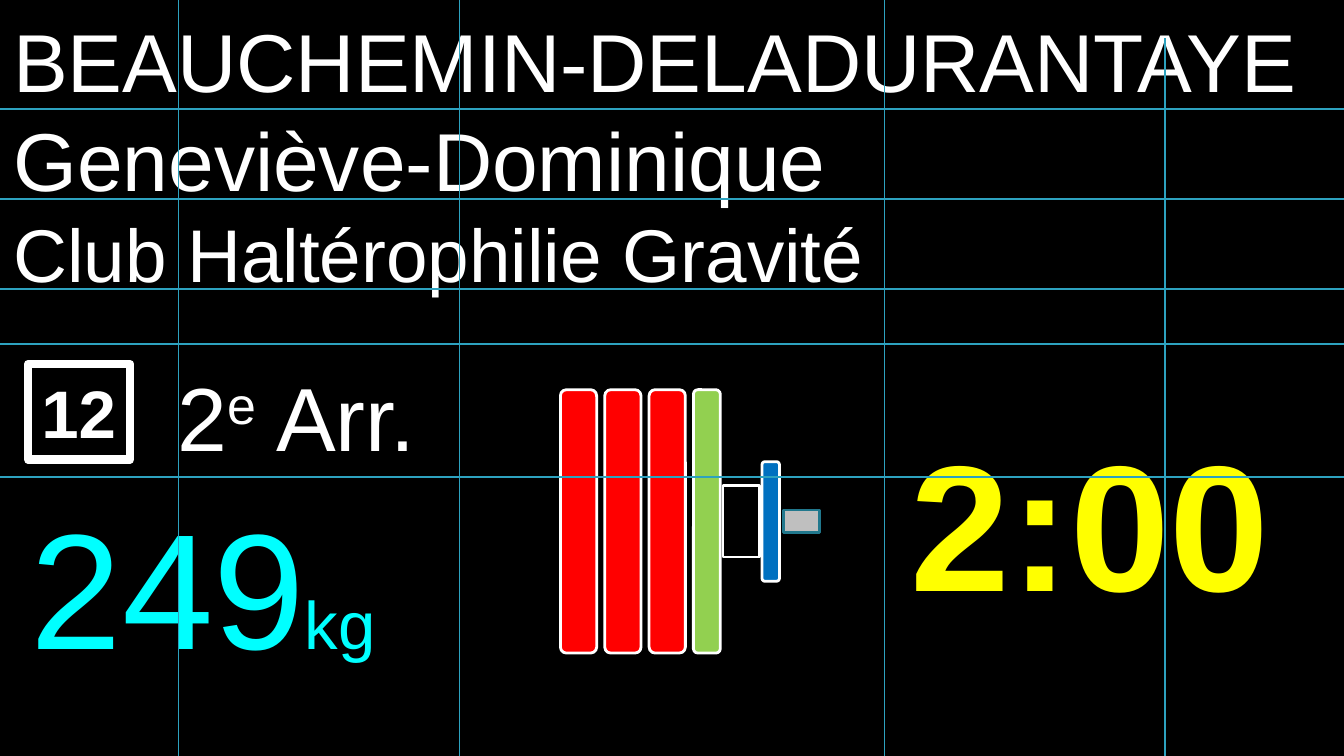
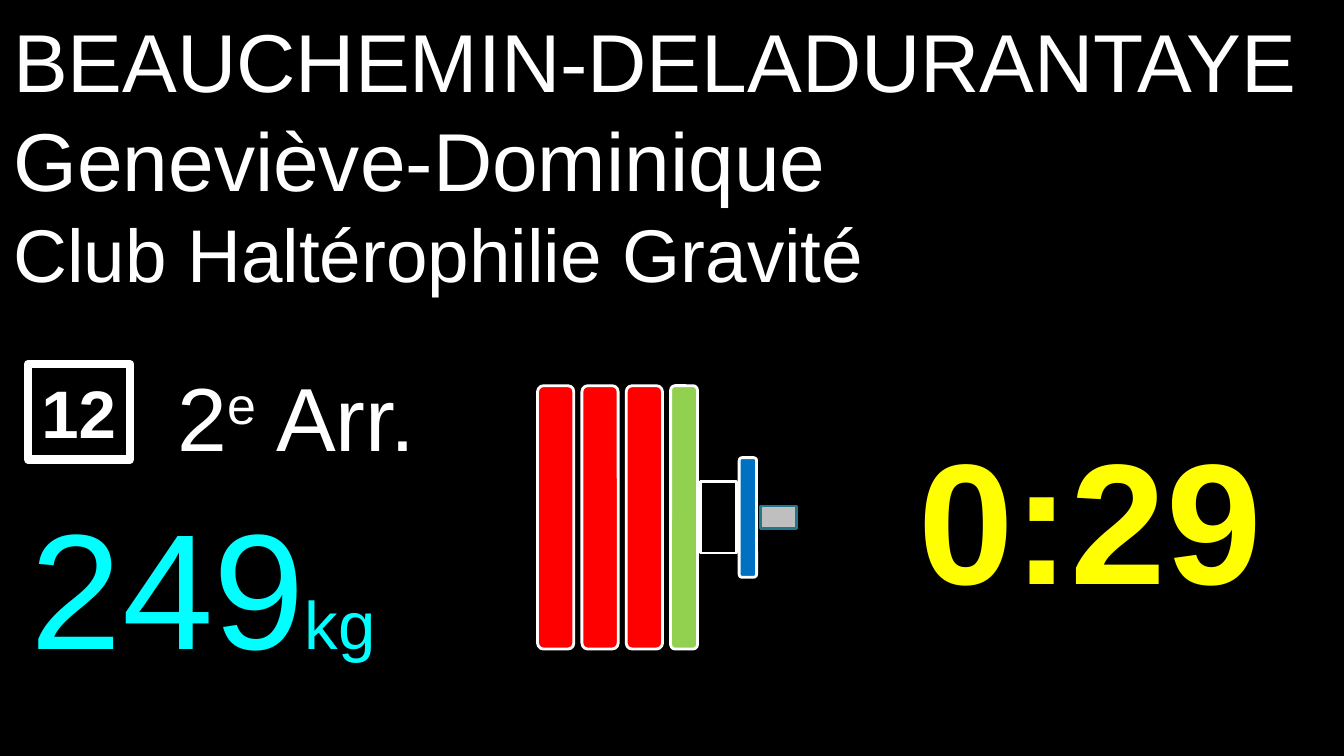
from lxml import etree
from pptx import Presentation
from pptx.dml.color import RGBColor
from pptx.enum.shapes import MSO_CONNECTOR, MSO_SHAPE
from pptx.enum.text import MSO_ANCHOR, MSO_AUTO_SIZE, PP_ALIGN
from pptx.oxml.ns import qn
from pptx.util import Inches, Pt

BLACK = RGBColor(0x00, 0x00, 0x00)
WHITE = RGBColor(0xFF, 0xFF, 0xFF)
CYAN = RGBColor(0x00, 0xFF, 0xFF)
YELLOW = RGBColor(0xFF, 0xFF, 0x00)
RED = RGBColor(0xFF, 0x00, 0x00)
GREEN = RGBColor(0x92, 0xD0, 0x50)
BLUE = RGBColor(0x00, 0x70, 0xC0)
GREY = RGBColor(0xBF, 0xBF, 0xBF)
TEAL = RGBColor(0x21, 0x78, 0x8D)
GUIDE = RGBColor(0x2D, 0xA2, 0xBF)

FONT = "Arial"
WIDTH = 10
HEIGHT = WIDTH * 9 / 16
PLATE_PITCH = 0.33
ROUND, SQUARE = MSO_SHAPE.ROUNDED_RECTANGLE, MSO_SHAPE.RECTANGLE

BARBELL = [(ROUND, i * PLATE_PITCH, 0.27, 1.96, RED, WHITE) for i in range(3)] + [
    (ROUND, 3 * PLATE_PITCH, 0.2, 1.96, GREEN, WHITE),
    (SQUARE, 1.21, 0.27, 0.53, BLACK, WHITE),
    (SQUARE, 1.66, 0.27, 0.17, GREY, TEAL),
    (ROUND, 1.5, 0.13, 0.89, BLUE, WHITE),
]
GUIDE_ROWS = (0.81, 1.48, 2.15, 2.56, 3.55)
GUIDE_COLUMNS = ((3.42, 0), (6.58, 0), (1.33, 0), (8.67, 0.28))


def write(frame, lines, color, bold=False, align=PP_ALIGN.LEFT):
    """Fill a text frame with lines, each a list of (text, size) pieces."""
    frame.vertical_anchor = MSO_ANCHOR.TOP
    for index, pieces in enumerate(lines):
        paragraph = frame.paragraphs[0] if index == 0 else frame.add_paragraph()
        paragraph.alignment = align
        for text, size in pieces:
            run = paragraph.add_run()
            run.text = text
            run.font.name = FONT
            run.font.size = Pt(size)
            run.font.bold = bold
            run.font.color.rgb = color


def add_label(slide, left, top, width, height, lines, color, **style):
    """Add a wrapping text box and return its text frame."""
    frame = slide.shapes.add_textbox(
        Inches(left), Inches(top), Inches(width), Inches(height)).text_frame
    frame.word_wrap = True
    write(frame, lines, color, **style)
    return frame


def add_outlined(shapes, kind, left, top, width, height, fill, line, weight):
    """Add an outlined preset shape, hollow when fill is None."""
    shape = shapes.add_shape(
        kind, Inches(left), Inches(top), Inches(width), Inches(height))
    shape.shadow.inherit = False
    if fill is None:
        shape.fill.background()
    else:
        shape.fill.solid()
        shape.fill.fore_color.rgb = fill
    shape.line.color.rgb = line
    shape.line.width = Pt(weight)
    return shape


def add_start_number(slide, number):
    """Add the framed start number of the lifter."""
    badge = add_outlined(
        slide.shapes, SQUARE, 0.21, 2.71, 0.76, 0.71, None, WHITE, 4.5)
    badge.text_frame.word_wrap = False
    badge.text_frame.auto_size = MSO_AUTO_SIZE.SHAPE_TO_FIT_TEXT
    write(badge.text_frame, [[(number, 36)]], WHITE, bold=True)


def add_barbell(slide, left, axis):
    """Add the loaded barbell as a group, centred on a horizontal axis."""
    parts = slide.shapes.add_group_shape().shapes
    for kind, offset, width, height, fill, line in BARBELL:
        add_outlined(parts, kind, left + offset, axis - height / 2,
                     width, height, fill, line, 1.5)


def add_guide(slide, x1, y1, x2, y2):
    """Add one thin layout guide."""
    guide = slide.shapes.add_connector(
        MSO_CONNECTOR.STRAIGHT, Inches(x1), Inches(y1), Inches(x2), Inches(y2))
    guide.line.color.rgb = GUIDE
    guide.line.width = Pt(0.79)
    etree.SubElement(guide.element.spPr, qn("a:effectLst"))


def add_guides(slide):
    """Lay the grid of guides over the slide."""
    for y in GUIDE_ROWS:
        add_guide(slide, 0, y, WIDTH, y)
    for x, top in GUIDE_COLUMNS:
        add_guide(slide, x, HEIGHT, x, top)


def add_scoreboard(deck, clock, clock_size, clock_height, bar_left, bar_axis):
    """Add a scoreboard slide with the lifter, weight, barbell and clock."""
    slide = deck.slides.add_slide(deck.slide_layouts[6])
    slide.background.fill.solid()
    slide.background.fill.fore_color.rgb = BLACK
    add_label(slide, 0, 0.03, 9.92, 2.32,
              [[("BEAUCHEMIN-DELADURANTAYE", 44)],
               [("Geneviève-Dominique", 44)],
               [("Club Haltérophilie Gravité", 40)]], WHITE)
    attempt = add_label(slide, 0.36, 2.64, 2.83, 0.91,
                        [[("2", 48), ("e", 48), (" Arr.", 48)]],
                        WHITE, align=PP_ALIGN.RIGHT)
    ordinal = attempt.paragraphs[0].runs[1]
    ordinal.font._element.set("baseline", "30000")
    add_label(slide, 0.13, 3.56, 3.58, 1.58, [[("249", 88), ("kg", 36)]], CYAN)
    add_label(slide, 6.32, 3.02, 3.58, clock_height, [[(clock, clock_size)]],
              YELLOW, bold=True, align=PP_ALIGN.CENTER)
    add_start_number(slide, "12")
    add_barbell(slide, bar_left, bar_axis)
    return slide


def main():
    """Build both scoreboards and save the deck."""
    deck = Presentation()
    deck.slide_width, deck.slide_height = Inches(WIDTH), Inches(HEIGHT)
    add_guides(add_scoreboard(deck, "2:00", 96, 1.72, 4.17, 3.88))
    add_scoreboard(deck, "0:29", 92, 1.65, 4, 3.85)
    deck.save("out.pptx")


if __name__ == "__main__":
    main()
